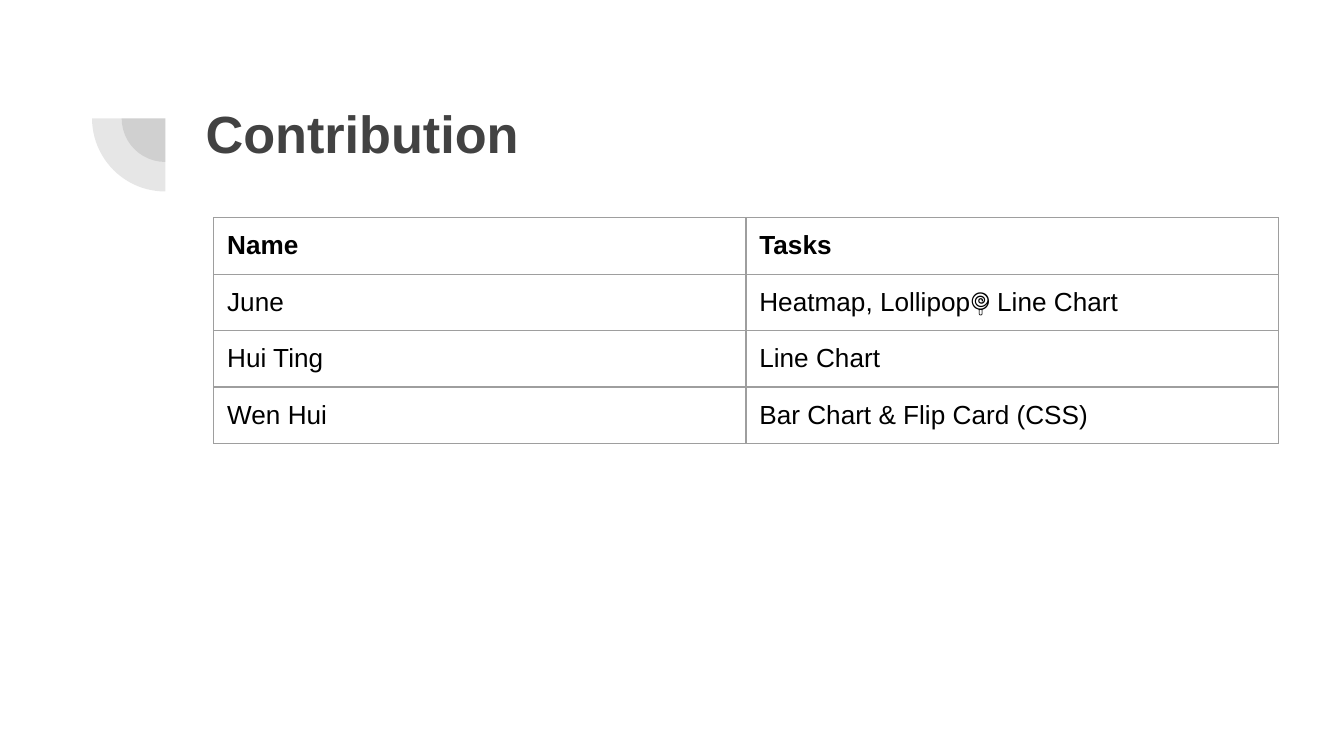
import pptx
import pptx.util
import pptx.dml.color
import pptx.enum.shapes
import pptx.enum.text
import pptx.oxml
import pptx.oxml.ns
import lxml.etree

Inches, Pt = pptx.util.Inches, pptx.util.Pt
RGBColor = pptx.dml.color.RGBColor

TITLE = "Contribution"
ROWS = [
    ("Name", "Tasks"),
    ("June", "Heatmap, Lollipop🍭 Line Chart"),
    ("Hui Ting", "Line Chart"),
    ("Wen Hui", "Bar Chart & Flip Card (CSS)"),
]

DARK = RGBColor(0x42, 0x42, 0x42)
BLACK = RGBColor(0, 0, 0)
BORDER = RGBColor(0x9E, 0x9E, 0x9E)
FONT = "Arial"

SLIDE_WIDTH = 10
SLIDE_HEIGHT = SLIDE_WIDTH * 9 / 16
PIE_CENTER = (1.23, 0.88)
PIE_SIZES = (0.65, 1.09)
PIE_ANGLES = (108, 162)  # 180 and 270 degrees
PIE_OPACITY = 13
TITLE_BOX = (1.43, 0.65, 7.69, 1.09)
TABLE_CORNER = (1.59, 1.62)
COLUMN_WIDTH, ROW_HEIGHT = 3.96, 0.42
MARGINS = {f"margin_{side}": Inches(0.1) for side in ("left", "right", "top", "bottom")}


def set_all(target, values):
    for name, value in values.items():
        setattr(target, name, value)


def write(frame, text, size, color, bold):
    para = frame.paragraphs[0]
    para.alignment = pptx.enum.text.PP_ALIGN.LEFT
    span = para.add_run()
    span.text = text
    set_all(span.font, {"name": FONT, "size": Pt(size), "bold": bold})
    span.font.color.rgb = color


def add_quarter(slide, size):
    """Add a translucent lower-left quarter disc around the shared centre."""
    left, top = (middle - size / 2 for middle in PIE_CENTER)
    pie = slide.shapes.add_shape(pptx.enum.shapes.MSO_SHAPE.PIE, Inches(left),
                                 Inches(top), Inches(size), Inches(size))
    for index, angle in enumerate(PIE_ANGLES):
        pie.adjustments[index] = angle
    pie.rotation = 270
    pie.shadow.inherit = False
    pie.line.fill.background()
    pie.fill.solid()
    pie.fill.fore_color.rgb = DARK
    color = pie.fill._xPr.find(".//" + pptx.oxml.ns.qn("a:srgbClr"))
    alpha = lxml.etree.SubElement(color, pptx.oxml.ns.qn("a:alpha"))
    alpha.set("val", str(PIE_OPACITY * 1000))


def add_borders(cell):
    properties = cell._tc.get_or_add_tcPr()
    for position, side in enumerate(("lnL", "lnR", "lnT", "lnB")):
        line = pptx.oxml.parse_xml(
            f'<a:{side} {pptx.oxml.ns.nsdecls("a")} w="{Pt(0.75)}"><a:solidFill>'
            f'<a:srgbClr val="{BORDER}"/></a:solidFill></a:{side}>')
        properties.insert(position, line)


def add_contributions(slide):
    columns = len(ROWS[0])
    left, top = TABLE_CORNER
    table = slide.shapes.add_table(
        len(ROWS), columns, Inches(left), Inches(top),
        Inches(COLUMN_WIDTH * columns), Inches(ROW_HEIGHT * len(ROWS))).table
    table.horz_banding = False
    for row, texts in enumerate(ROWS):
        for column, text in enumerate(texts):
            cell = table.cell(row, column)
            set_all(cell, MARGINS)
            cell.fill.background()
            add_borders(cell)
            write(cell.text_frame, text, 14, BLACK, row == 0)


def main():
    deck = pptx.Presentation()
    set_all(deck, {"slide_width": Inches(SLIDE_WIDTH),
                   "slide_height": Inches(SLIDE_HEIGHT)})
    slide = deck.slides.add_slide(deck.slide_layouts[5])
    for size in PIE_SIZES:
        add_quarter(slide, size)

    title = slide.shapes.title
    set_all(title, dict(zip(("left", "top", "width", "height"), map(Inches, TITLE_BOX))))
    set_all(title.text_frame, {
        **MARGINS, "word_wrap": True,
        "auto_size": pptx.enum.text.MSO_AUTO_SIZE.NONE,
        "vertical_anchor": pptx.enum.text.MSO_ANCHOR.TOP})
    write(title.text_frame, TITLE, 28, DARK, True)

    add_contributions(slide)
    deck.save("out.pptx")


if __name__ == "__main__":
    main()
